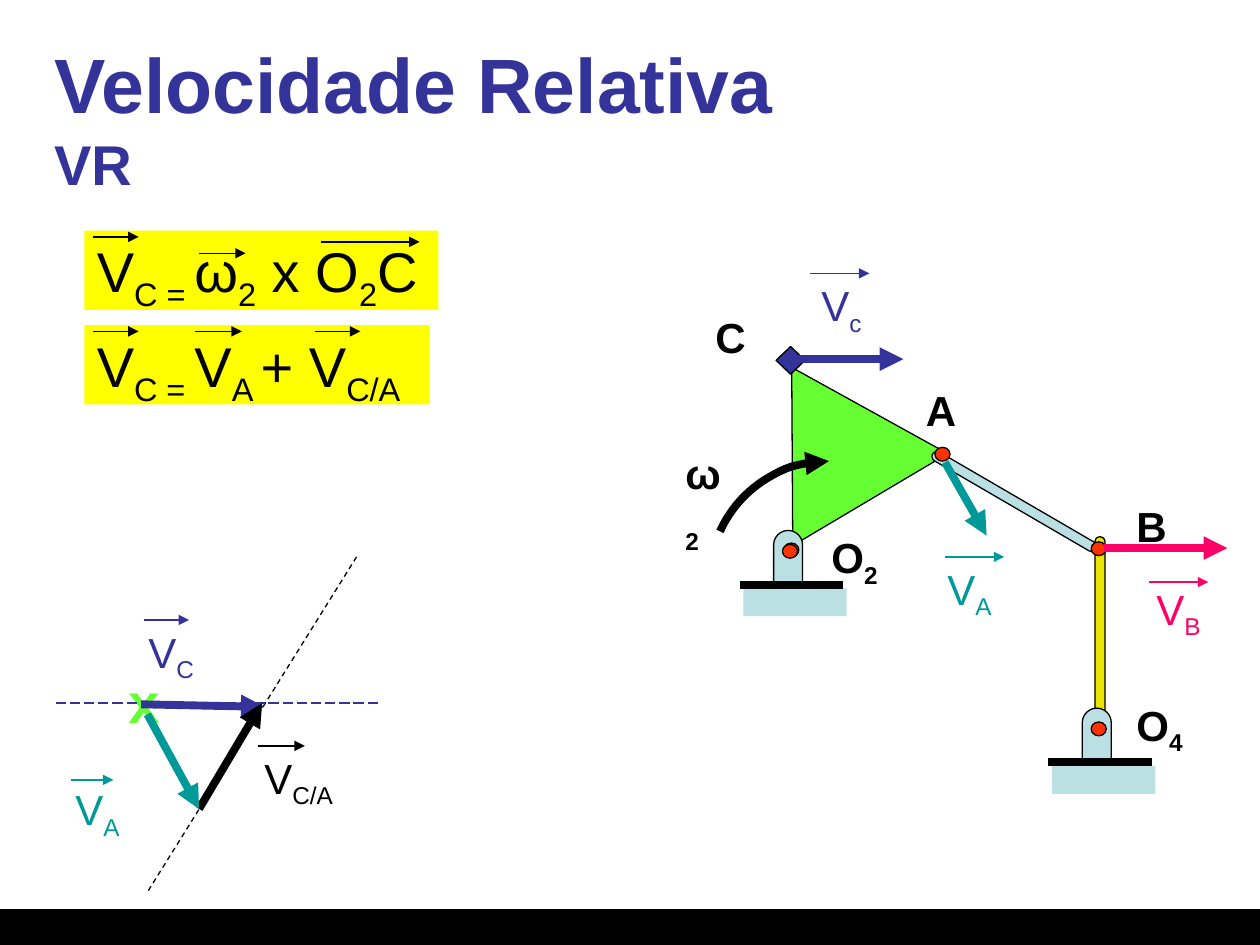
from pptx import Presentation
from pptx.dml.color import RGBColor as Rgb
from pptx.enum.dml import MSO_LINE as Dash
from pptx.enum.shapes import MSO_CONNECTOR as Conn, MSO_SHAPE as Kind
from pptx.enum.text import MSO_ANCHOR as Anchor, MSO_AUTO_SIZE as Fit, PP_ALIGN as Align
from pptx.oxml.ns import qn
from pptx.util import Inches, Pt
from lxml.etree import SubElement

HEX = {"black": "000000", "navy": "333399", "teal": "009999", "pink": "FF0066",
       "green": "66FF33", "pale": "BBE0E3", "gold": "E9E400", "red": "FF3300",
       "yellow": "FFFF00"}
INK = {name: Rgb.from_string(code) for name, code in HEX.items()}

deck = Presentation()
deck.slide_width, deck.slide_height = Inches(10), Inches(7.5)
slide = deck.slides.add_slide(deck.slide_layouts[5])
shapes = slide.shapes


def draw(kind, box, fill, edge=True, turn=0):
    shape = shapes.add_shape(kind, *map(Inches, box))
    shape.shadow.inherit = False
    shape.rotation = turn
    shape.fill.solid()
    shape.fill.fore_color.rgb = INK[fill]
    if edge:
        shape.line.color.rgb = INK["black"]
        shape.line.width = Pt(0.75)
    else:
        shape.line.fill.background()
    if kind == Kind.ROUNDED_RECTANGLE:
        shape.adjustments[0] = 0.5
    return shape


def write(shape, text, size, color, bold=False, wrap=False):
    frame = shape.text_frame
    frame.word_wrap = wrap
    frame.vertical_anchor = Anchor.TOP
    para = frame.paragraphs[0]
    para.alignment = Align.LEFT
    font = para.font
    font.name, font.size, font.bold = "Arial", Pt(size), bold
    font.color.rgb = INK[color]
    for i, part in enumerate(text.split("|")):
        run = para.add_run()
        run.text = part
        if i % 2:
            run.font._element.set("baseline", "-25000")


title = shapes.title
title.left, title.top, title.width, title.height = map(Inches, (0.33, 0.3, 9.33, 1.25))
frame = title.text_frame
frame.auto_size = Fit.NONE
frame.vertical_anchor = Anchor.MIDDLE
para = frame.paragraphs[0]
para.alignment = Align.LEFT
para.font.name, para.font.bold = "Arial", True
para.font.color.rgb = INK["navy"]
for text, size in (("Velocidade Relativa", 44), ("VR", 32)):
    if para.runs:
        para.add_line_break()
    run = para.add_run()
    run.text, run.font.size = text, Pt(size)

draw(Kind.RECTANGLE, (0, 7.22, 10, 0.28), "black")
draw(Kind.ROUNDED_RECTANGLE, (8.69, 4.26, 0.08, 1.57), "gold")
draw(Kind.ISOSCELES_TRIANGLE, (5.88, 2.83, 1.43, 1.22), "green", turn=329.3)
draw(Kind.ROUNDED_RECTANGLE, (8.01, 3.23, 0.08, 1.5), "pale", turn=300.2)
draw(Kind.DIAMOND, (6.16, 2.75, 0.23, 0.22), "navy")

lines = []
for x, y in ((8.59, 5.62), (6.14, 4.21)):
    draw(Kind.ROUNDED_RECTANGLE, (x, y, 0.23, 0.65), "pale")
    draw(Kind.RECTANGLE, (x - 0.24, y + 0.46, 0.82, 0.22), "pale", edge=False)
    lines.append((x - 0.27, y + 0.43, x + 0.55, y + 0.43, "black", 4.5, None, False))
for x, y in ((8.66, 5.73), (6.22, 4.31), (6.21, 4.32), (8.66, 4.3), (7.42, 3.55)):
    draw(Kind.OVAL, (x, y, 0.12, 0.11), "red")

for x, y, w, text, size, color, bold in (
        (5.34, 3.5, 0.55, "ω|2", 24, "black", True),
        (6.5, 4.17, 0.58, "O|2", 24, "black", True),
        (8.92, 5.5, 0.58, "O|4", 24, "black", True),
        (8.92, 3.92, 0.44, "B", 24, "black", True),
        (7.25, 3, 0.44, "A", 24, "black", True),
        (5.58, 2.42, 0.44, "C", 24, "black", True),
        (0.92, 5.25, 0.45, "x", 32, "green", True),
        (7.42, 4.42, 0.57, "V|A", 24, "teal", False),
        (9.08, 4.58, 0.57, "V|B", 24, "pink", False),
        (6.42, 2.17, 0.53, "V|c", 24, "navy", False),
        (1.08, 4.92, 0.58, "V|C", 24, "navy", False),
        (2, 5.92, 0.79, "V|C/A", 24, "black", False),
        (0.5, 6.17, 0.57, "V|A", 24, "teal", False)):
    box = shapes.add_textbox(Inches(x), Inches(y), Inches(w), Inches(size / 50 + 0.02))
    write(box, text, size, color, bold, wrap=text.startswith("ω"))

for y, w, text in ((1.83, 2.81, "V|C = |ω|2| x O|2|C"),
                   (2.58, 2.74, "V|C = |V|A |+ V|C/A")):
    box = draw(Kind.RECTANGLE, (0.67, y, w, 0.63), "yellow", edge=False)
    write(box, text, 32, "black", wrap=True)

lines += [(2.83, 4.42, 1.17, 7.08, "black", 0.75, Dash.DASH, False),
          (3, 5.58, 0.42, 5.58, "navy", 0.75, Dash.LONG_DASH, False)]
for x, y, end, low, color in (
        (7.5, 3.67, 7.83, 4.25, "teal"), (8.76, 4.35, 9.74, 4.35, "pink"),
        (1.12, 5.59, 2.1, 5.61, "navy"), (1.58, 6.42, 2.08, 5.58, "black"),
        (6.25, 2.85, 7.17, 2.85, "navy"), (1.17, 5.67, 1.58, 6.42, "teal")):
    lines.append((x, y, end, low, color, 4.5, None, True))
for x, y, w, color in (
        (7.5, 4.42, 0.47, "teal"), (9.12, 4.62, 0.47, "pink"), (6.43, 2.17, 0.47, "navy"),
        (1.14, 4.92, 0.36, "navy"), (2.05, 5.92, 0.37, "black"), (0.56, 6.19, 0.34, "teal"),
        (0.74, 1.88, 0.36, "black"), (1.58, 2.01, 0.37, "black"), (2.55, 1.92, 0.78, "black"),
        (0.74, 2.63, 0.36, "black"), (1.55, 2.63, 0.37, "black"), (2.5, 2.63, 0.36, "black")):
    lines.append((x, y, x + w, y, color, 0.75, None, True))

tips = []
for x, y, end, low, color, width, dash, tip in lines:
    link = shapes.add_connector(Conn.STRAIGHT, *map(Inches, (x, y, end, low)))
    link.line.color.rgb = INK[color]
    link.line.width = Pt(width)
    if dash:
        link.line.dash_style = dash
    if tip:
        tips.append(link)
    SubElement(link._element.spPr, qn("a:effectLst"))

arc = draw(Kind.ARC, (5.63, 3.66, 1.9, 1.9), "black")
arc.fill.background()
arc.line.width = Pt(4.5)
arc.adjustments[0], arc.adjustments[1] = 204.4 * 0.6, 270 * 0.6
for shape in tips + [arc]:
    SubElement(shape.line._get_or_add_ln(), qn("a:tailEnd"), type="triangle")

deck.save("out.pptx")
